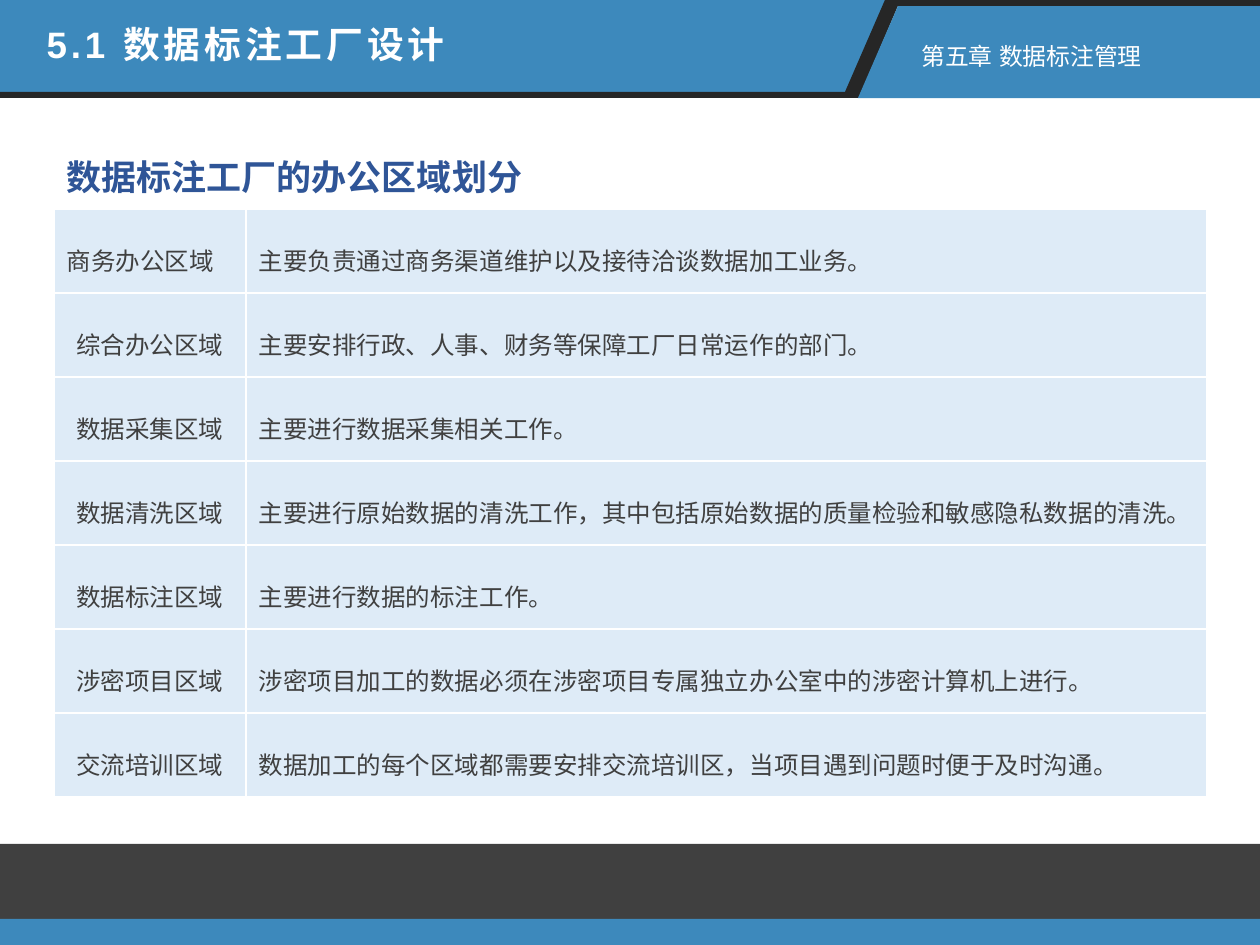
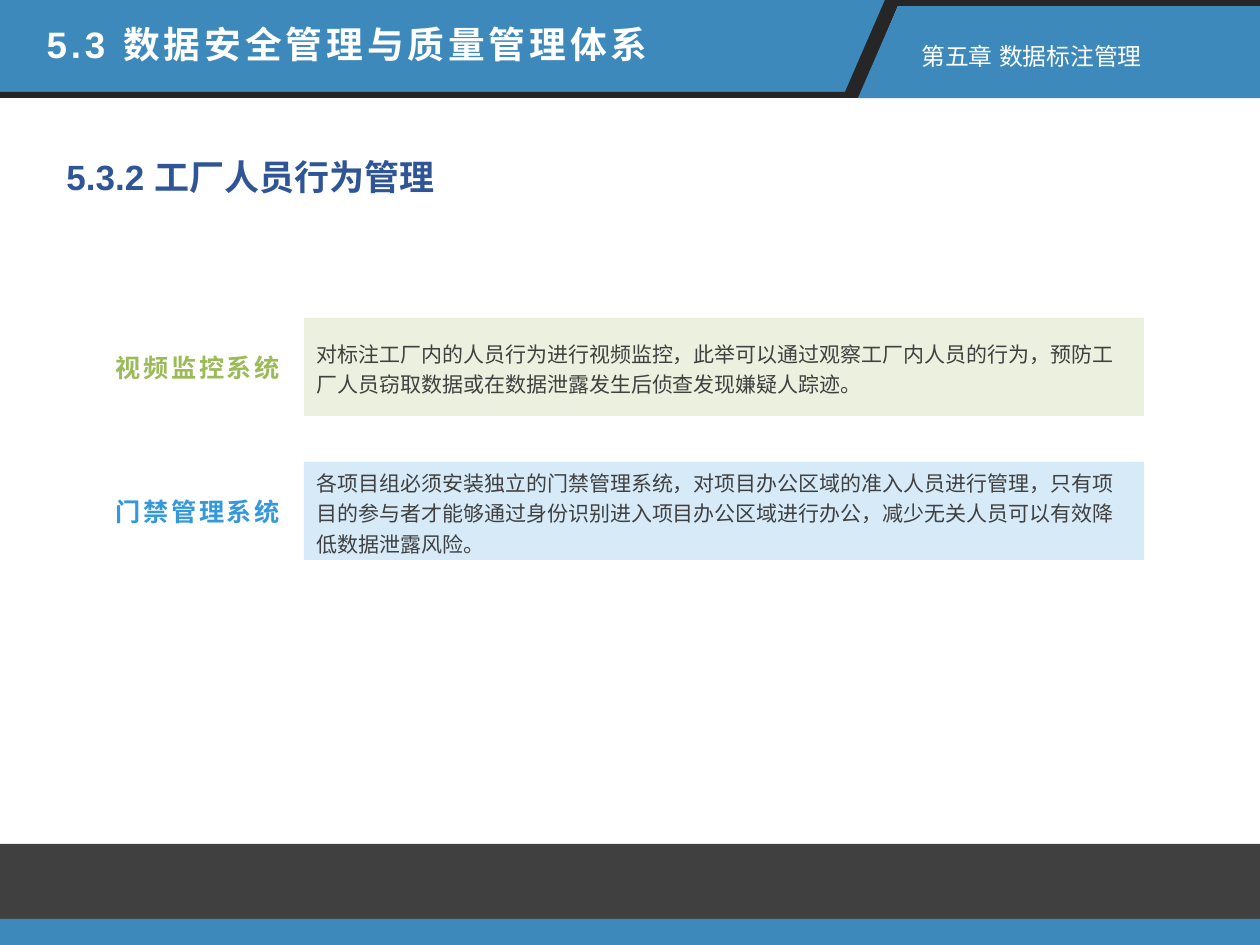
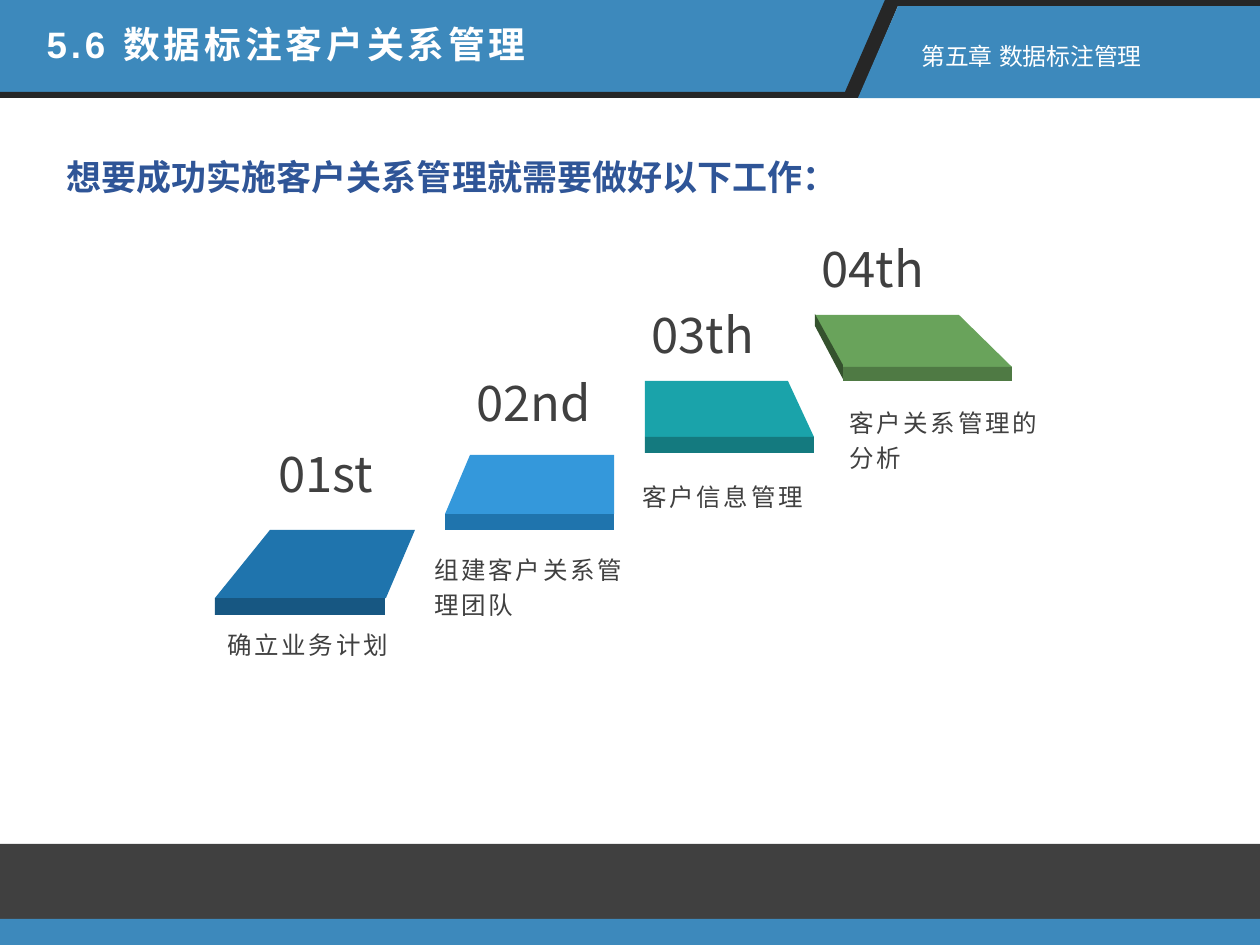
from pptx import Presentation
from pptx import util as u
from pptx.dml.color import RGBColor
from pptx.enum import shapes, text
from pptx.oxml.ns import qn
from lxml import etree

SCALE = 914400 / 126
ARIAL, NOTO = "Arial", "Noto Sans CJK SC"
COLORS = {
    "band": "3D89BC", "edge": "262626", "floor": "404040", "white": "FFFFFF",
    "heading": "2F5597", "body": "404040", "cell": "DEEBF7",
    "olive": "9BBB59", "olive_pale": "EBF1DE",
    "sky": "3498DB", "sky_pale": "D6EAF8",
    "blue": "1F74AD", "navy": "175782",
    "teal": "1AA3AA", "teal_dark": "147A7F",
    "green": "69A35B", "green_dark": "4F7A44", "green_deep": "35522E",
}
STYLES = {
    "title": dict(size=21, name=ARIAL, color="white", bold=True, spc=2.2),
    "chapter": dict(size=13.6, name=ARIAL, color="white"),
    "heading": dict(size=20, name=ARIAL, color="heading", bold=True, line=1.4),
    "cell": dict(size=14, name=NOTO, east=NOTO, color="body", bold=False, line=1.5),
    "note": dict(size=12, name=ARIAL, color="body", line=1.2),
    "system": dict(size=14.4, name=ARIAL, color="olive", bold=True, spc=1.5),
    "number": dict(size=28, name=NOTO, color="body"),
    "step": dict(size=14, name=NOTO, color="body", spc=1.5, line=1.2),
}
LEFT, CENTER = text.PP_ALIGN.LEFT, text.PP_ALIGN.CENTER
TOP, MIDDLE = text.MSO_ANCHOR.TOP, text.MSO_ANCHOR.MIDDLE


def px(value):
    return u.Emu(round(value * SCALE))


def rgb(color):
    return RGBColor.from_string(COLORS[color])


class Deck:
    def __init__(self):
        self.prs = Presentation()
        self.prs.slide_width, self.prs.slide_height = px(1260), px(945)
        self.layout = self.prs.slide_layouts[5]
        self.slide = None

    def typeset(self, frame, words, style, align=LEFT, **changes):
        look = {**STYLES[style], **changes}
        para = frame.paragraphs[0]
        para.alignment = align
        if "line" in look:
            para.line_spacing = look["line"]
        run = para.add_run()
        run.text = words
        for key in ("name", "bold"):
            if key in look:
                setattr(run.font, key, look[key])
        run.font.size = u.Pt(look["size"])
        run.font.color.rgb = rgb(look["color"])
        props = run._r.get_or_add_rPr()
        props.set("lang", "zh-CN")
        if "spc" in look:
            props.set("spc", str(round(look["spc"] * 100)))
        east = etree.Element(qn("a:ea"), typeface=look.get("east", ARIAL))
        props.find(qn("a:latin")).addnext(east)

    def frame(self, shape, **settings):
        for key, value in settings.items():
            setattr(shape.text_frame, key, value)
        return shape.text_frame

    def paint(self, shape, color):
        shape.shadow.inherit = False
        shape.fill.solid()
        shape.fill.fore_color.rgb = rgb(color)
        shape.line.fill.background()
        return shape

    def rect(self, box, color):
        kind = shapes.MSO_SHAPE.RECTANGLE
        return self.paint(self.slide.shapes.add_shape(kind, *map(px, box)), color)

    def outline(self, points, color):
        builder = self.slide.shapes.build_freeform(*points[0], scale=SCALE)
        builder.add_line_segments(points[1:], close=True)
        return self.paint(builder.convert_to_shape(), color)

    def label(self, box, words, style, align=LEFT, color=None, **settings):
        shape = self.slide.shapes.add_textbox(*map(px, box))
        changes = {"color": color} if color else {}
        self.typeset(self.frame(shape, **{"word_wrap": True, **settings}),
                     words, style, align, **changes)

    def backdrop(self):
        bands = [
            self.outline([(0, 0), (888, 0), (849, 92), (0, 92)], "band"),
            self.outline([(893, 0), (1260, 0), (1260, 6), (898, 6), (859, 98),
                          (0, 98), (0, 92), (845, 92), (885, 0)], "edge"),
            self.outline([(898, 6), (1260, 6), (1260, 98), (858, 98)], "band"),
            self.rect((0, 844, 1260, 75), "floor"),
            self.rect((0, 919, 1260, 26), "band"),
        ]
        for band in bands:
            self.layout.placeholders[0].element.addprevious(band.element)

    def page(self, title, title_width, heading):
        first = self.slide is None
        self.slide = self.prs.slides.add_slide(self.layout)
        if first:
            self.backdrop()
        holder = self.slide.shapes.title
        place = dict(left=34, top=15, width=title_width, height=57)
        for key, value in place.items():
            setattr(holder, key, px(value))
        frame = self.frame(holder, word_wrap=False, vertical_anchor=TOP,
                           auto_size=text.MSO_AUTO_SIZE.NONE)
        self.typeset(frame, title, "title")
        self.label((909, 35, 404, 42), "第五章 数据标注管理", "chapter")
        self.label((54, 131, 992, 74), heading, "heading", vertical_anchor=MIDDLE)

    def table(self, corner, widths, row_height, rows):
        size = (sum(widths), row_height * len(rows))
        grid = self.slide.shapes.add_table(len(rows), len(widths),
                                           *map(px, (*corner, *size))).table
        grid.horz_banding = False
        for column, width in zip(grid.columns, widths):
            column.width = px(width)
        for r, row in enumerate(rows):
            grid.rows[r].height = px(row_height)
            for c, words in enumerate(row):
                cell = grid.cell(r, c)
                cell.fill.solid()
                cell.fill.fore_color.rgb = rgb("cell")
                cell.vertical_anchor = MIDDLE
                align = CENTER if r and c == 0 else LEFT
                self.typeset(cell.text_frame, words, "cell", align)

    def system(self, top, name, note, color):
        panel = self.rect((304, top, 840, 98), f"{color}_pale")
        frame = self.frame(panel, word_wrap=True, vertical_anchor=MIDDLE)
        self.typeset(frame, note, "note")
        self.label((96, top + 14, 204, 70), name, "system", CENTER, color,
                   vertical_anchor=MIDDLE)

    def step(self, number, number_box, surface, surface_color,
             front, front_color, caption, caption_corner):
        self.label(number_box, number, "number", word_wrap=False, margin_top=0)
        self.outline(surface, surface_color)
        self.rect(front, front_color)
        self.label((*caption_corner, 222, 67), caption, "step", margin_top=0)


AREAS = [
    ("商务办公区域", "主要负责通过商务渠道维护以及接待洽谈数据加工业务。"),
    ("综合办公区域", "主要安排行政、人事、财务等保障工厂日常运作的部门。"),
    ("数据采集区域", "主要进行数据采集相关工作。"),
    ("数据清洗区域", "主要进行原始数据的清洗工作，其中包括原始数据的质量检验和敏感隐私数据的清洗。"),
    ("数据标注区域", "主要进行数据的标注工作。"),
    ("涉密项目区域", "涉密项目加工的数据必须在涉密项目专属独立办公室中的涉密计算机上进行。"),
    ("交流培训区域", "数据加工的每个区域都需要安排交流培训区，当项目遇到问题时便于及时沟通。"),
]
SYSTEMS = [
    ("视频监控系统", "对标注工厂内的人员行为进行视频监控，此举可以通过观察工厂内人员的行为，"
     "预防工厂人员窃取数据或在数据泄露发生后侦查发现嫌疑人踪迹。", "olive"),
    ("门禁管理系统", "各项目组必须安装独立的门禁管理系统，对项目办公区域的准入人员进行管理，"
     "只有项目的参与者才能够通过身份识别进入项目办公区域进行办公，"
     "减少无关人员可以有效降低数据泄露风险。", "sky"),
]
STEPS = [
    ("01st", (266, 444, 127, 72), [(415, 530), (386, 598), (215, 598), (270, 530)],
     "blue", (215, 598, 170, 17), "navy", "确立业务计划", (215, 624)),
    ("02nd", (464, 372, 150, 72), [(614, 455), (614, 514), (445, 514), (470, 455)],
     "sky", (445, 514, 169, 16), "blue", "组建客户关系管理团队", (422, 549)),
    ("03th", (639, 305, 145, 72), [(645, 381), (645, 437), (814, 437), (788, 381)],
     "teal", (645, 437, 169, 16), "teal_dark", "客户信息管理", (630, 476)),
    ("04th", (809, 238, 142, 72), [(815, 315), (843, 367), (1012, 367), (959, 315)],
     "green", (843, 367, 169, 14), "green_dark", "客户关系管理的分析", (837, 402)),
]


def main():
    deck = Deck()
    deck.page("5.1 数据标注工厂设计", 493, "数据标注工厂的办公区域划分")
    deck.table((54, 209), (192, 961), 84, AREAS)

    deck.page("5.3 数据安全管理与质量管理体系", 646, "5.3.2 工厂人员行为管理")
    for i, system in enumerate(SYSTEMS):
        deck.system(318 + 144 * i, *system)

    deck.page("5.6 数据标注客户关系管理", 520, "想要成功实施客户关系管理就需要做好以下工作：")
    for step in STEPS:
        deck.step(*step)
    deck.outline([(843, 365), (843, 379), (815, 326), (815, 314)], "green_deep")
    deck.prs.save("out.pptx")


if __name__ == "__main__":
    main()
